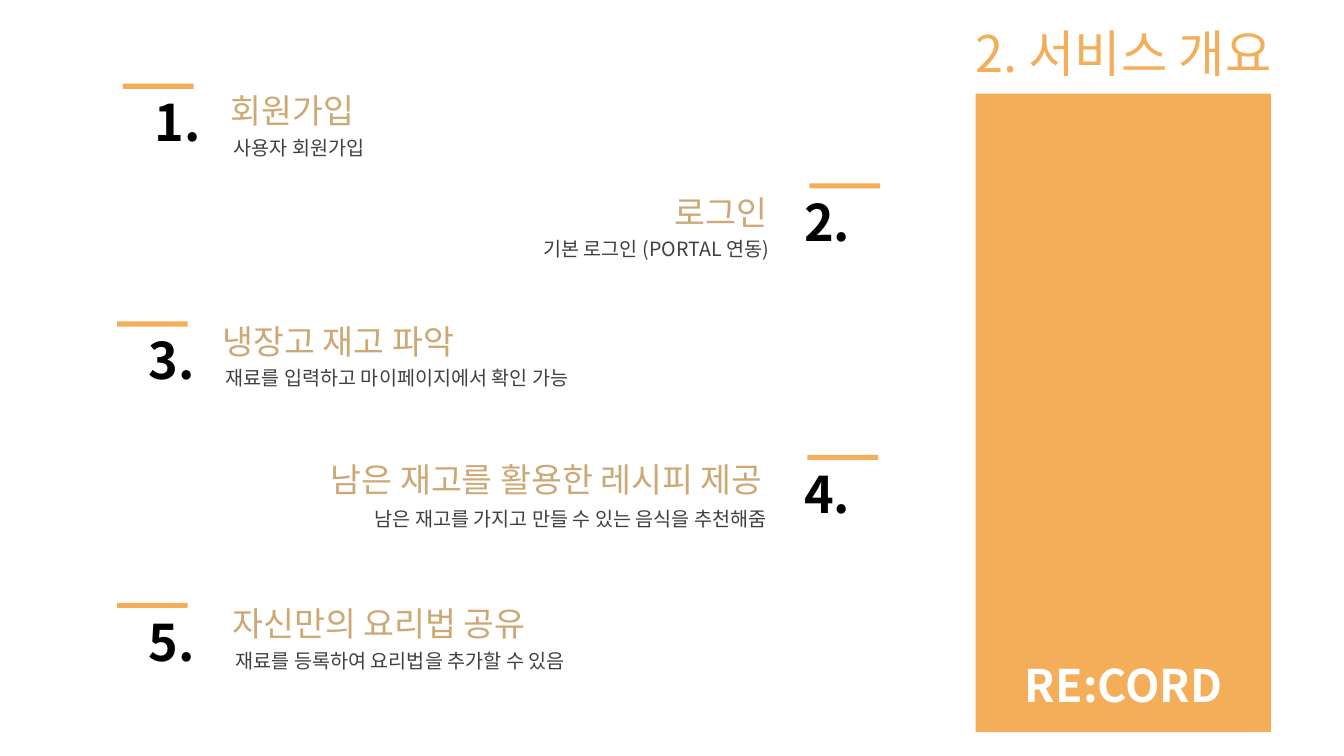
from dataclasses import dataclass

from lxml.etree import SubElement
from pptx import Presentation
from pptx.dml.color import RGBColor
from pptx.enum.shapes import MSO_SHAPE
from pptx.enum.text import MSO_ANCHOR, MSO_AUTO_SIZE, PP_ALIGN
from pptx.oxml.ns import qn
from pptx.shapes.autoshape import Shape
from pptx.shapes.shapetree import GroupShapes, SlideShapes
from pptx.util import Cm, Pt

FONT = "Noto Sans CJK KR"
ORANGE = RGBColor(0xF4, 0xAE, 0x59)
TAN = RGBColor(0xCD, 0xA8, 0x74)
GRAY = RGBColor(0x40, 0x40, 0x40)
BLACK = RGBColor(0, 0, 0)
WHITE = RGBColor(255, 255, 255)


@dataclass(frozen=True)
class Box:
    left: float
    top: float
    width: float
    height: float

    def emu(self) -> tuple[Cm, Cm, Cm, Cm]:
        return Cm(self.left), Cm(self.top), Cm(self.width), Cm(self.height)


@dataclass(frozen=True)
class Style:
    size: int
    color: RGBColor
    bold: bool = False


@dataclass(frozen=True)
class Feature:
    heading: str
    detail: str
    align: PP_ALIGN
    bar_left: float
    bar_top: float
    number_left: float
    heading_left: float
    heading_top: float
    detail_left: float
    detail_top: float
    heading_width: float = 10.92


TITLE = Style(36, ORANGE)
BRAND = Style(32, WHITE, True)
NUMBER = Style(36, BLACK, True)
HEADING = Style(24, TAN)
DETAIL = Style(14, GRAY)

FEATURES = [
    Feature("회원가입", "사용자 회원가입", PP_ALIGN.LEFT,
            3.1, 2.11, 2.39, 5.56, 2.13, 5.64, 3.3),
    Feature("로그인", "기본 로그인 (PORTAL 연동)", PP_ALIGN.RIGHT,
            20.4, 4.62, 18.75, 8.66, 4.7, 8.86, 5.84),
    Feature("냉장고 재고 파악", "재료를 입력하고 마이페이지에서 확인 가능", PP_ALIGN.LEFT,
            2.95, 8.1, 2.24, 5.36, 7.95, 5.44, 9.09),
    Feature("남은 재고를 활용한 레시피 제공 ", "남은 재고를 가지고 만들 수 있는 음식을 추천해줌",
            PP_ALIGN.RIGHT, 20.35, 11.46, 18.75, 7.29, 11.43, 8.81, 12.65, 12.37),
    Feature("자신만의 요리법 공유", "재료를 등록하여 요리법을 추가할 수 있음", PP_ALIGN.LEFT,
            2.95, 15.19, 2.24, 5.61, 15.06, 5.69, 16.23),
]


def add_rect(shapes: SlideShapes | GroupShapes, box: Box, color: RGBColor) -> Shape:
    sp = shapes.add_shape(MSO_SHAPE.RECTANGLE, *box.emu())
    sp.shadow.inherit = False
    sp.fill.solid()
    sp.fill.fore_color.rgb = color
    sp.line.fill.background()
    return sp


def write(sp: Shape, text: str, style: Style, align: PP_ALIGN, anchor: MSO_ANCHOR) -> None:
    tf = sp.text_frame
    tf.word_wrap = True
    tf.vertical_anchor = anchor
    p = tf.paragraphs[0]
    p.alignment = align
    r = p.add_run()
    r.text = text
    r.font.size = Pt(style.size)
    r.font.bold = style.bold
    r.font.color.rgb = style.color
    r.font.name = FONT
    SubElement(r.font._element, qn("a:ea"), typeface=FONT)


def add_text(shapes: SlideShapes | GroupShapes, box: Box, text: str, style: Style,
             align: PP_ALIGN, anchor: MSO_ANCHOR = MSO_ANCHOR.TOP) -> None:
    sp = shapes.add_textbox(*box.emu())
    write(sp, text, style, align, anchor)
    sp.text_frame.auto_size = MSO_AUTO_SIZE.SHAPE_TO_FIT_TEXT


def add_title(shapes: SlideShapes) -> None:
    sp = add_rect(shapes, Box(24.33, 0.33, 8.89, 2.03), WHITE)
    write(sp, "2. 서비스 개요 ", TITLE, PP_ALIGN.JUSTIFY, MSO_ANCHOR.MIDDLE)
    tf = sp.text_frame
    tf.margin_left = tf.margin_right = tf.margin_top = Cm(0.25)
    tf.margin_bottom = Cm(0.13)
    tf.paragraphs[0].line_spacing = 0.9


def add_number(shapes: SlideShapes, number: int, f: Feature) -> None:
    group = shapes.add_group_shape().shapes
    add_text(group, Box(f.number_left, f.bar_top + 0.06, 4.19, 1.8), f"{number}.",
             NUMBER, PP_ALIGN.CENTER, MSO_ANCHOR.MIDDLE)
    add_rect(group, Box(f.bar_left, f.bar_top, 1.78, 0.13), ORANGE)


def add_description(shapes: SlideShapes, f: Feature) -> None:
    group = shapes.add_group_shape().shapes
    add_text(group, Box(f.detail_left, f.detail_top, 10.77, 0.86), f.detail, DETAIL, f.align)
    add_text(group, Box(f.heading_left, f.heading_top, f.heading_width, 1.27),
             f.heading, HEADING, f.align)


def main() -> None:
    prs = Presentation()
    prs.slide_width, prs.slide_height = Cm(33.87), Cm(19.05)
    s = prs.slides.add_slide(prs.slide_layouts[6])
    add_rect(s.shapes, Box(24.59, 0.97, 7.44, 17.48), ORANGE)
    add_title(s.shapes)
    add_text(s.shapes, Box(24.79, 16.46, 7.06, 1.63), "RE:CORD", BRAND, PP_ALIGN.CENTER)
    for number, feature in enumerate(FEATURES, 1):
        add_number(s.shapes, number, feature)
    for feature in FEATURES:
        add_description(s.shapes, feature)
    prs.save("out.pptx")


if __name__ == "__main__":
    main()
